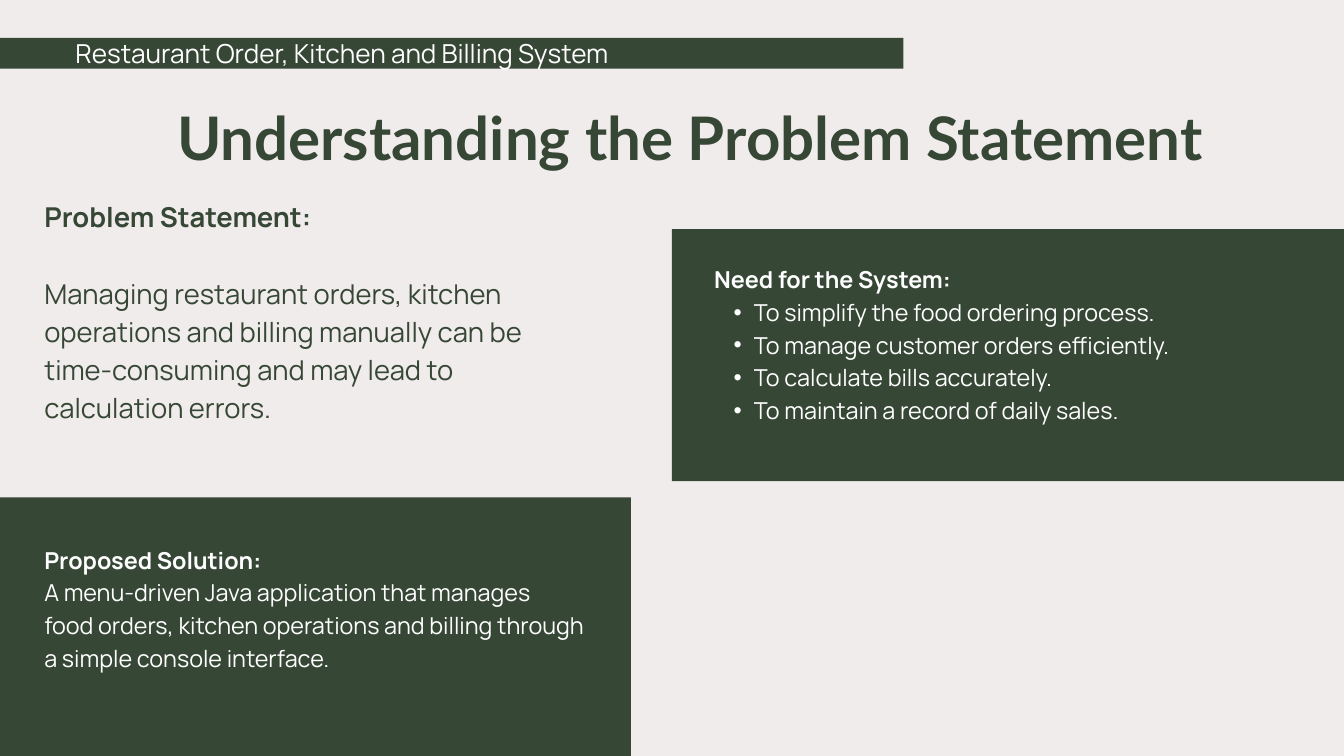
from dataclasses import dataclass

import pptx
import pptx.dml.color
import pptx.enum.shapes
import pptx.enum.text
import pptx.util
from lxml import etree

Pt = pptx.util.Pt
Align = pptx.enum.text.PP_ALIGN
COLORS = {"green": "364735", "cream": "F1ECEC", "white": "FFFFFF"}
SPACE = "http://schemas.openxmlformats.org/drawingml/2006/main"


@dataclass
class Panel:
    left: float
    top: float
    width: float
    height: float


@dataclass
class Line:
    text: str
    bold: bool = False
    bullet: bool = False
    before: float = 0


@dataclass
class Block:
    left: float
    top: float
    width: float
    height: float
    size: float
    pitch: float
    color: str
    lines: list[Line]
    font: str = "Manrope"
    align: Align = Align.LEFT


PANELS = [
    Panel(-4.3, 40.5, 972.3, 33),
    Panel(720, 245.5, 720, 270),
    Panel(-44, 532.8, 720, 484.6),
]
NEEDS = [
    "To simplify the food ordering process.",
    "To manage customer orders efficiently.",
    "To calculate bills accurately.",
    "To maintain a record of daily sales.",
]
BLOCKS = [
    Block(62.6, 95, 1353.6, 88.6, 64.3, 90, "green",
          [Line("Understanding the Problem Statement", True)], "Lato", Align.CENTER),
    Block(80.8, 34, 728, 40, 28, 39.2, "white",
          [Line("Restaurant Order, Kitchen and Billing System")]),
    Block(765.2, 279.4, 578, 175, 25, 35, "white",
          [Line("Need for the System:", True)] + [Line(need, bullet=True) for need in NEEDS]),
    Block(47.5, 208.8, 537, 246, 29.3, 41, "green",
          [Line("Problem Statement:", True),
           Line("Managing restaurant orders, kitchen operations and billing manually "
                "can be time-consuming and may lead to calculation errors.", before=41)]),
    Block(47.5, 580, 578, 140, 25, 35, "white",
          [Line("Proposed Solution:", True),
           Line("A menu-driven Java application that manages food orders, kitchen "
                "operations and billing through a simple console interface.")]),
]


def tint(name: str) -> pptx.dml.color.RGBColor:
    return pptx.dml.color.RGBColor.from_string(COLORS[name])


def draw_panel(slide, panel: Panel) -> None:
    shape = slide.shapes.add_shape(
        pptx.enum.shapes.MSO_SHAPE.RECTANGLE,
        Pt(panel.left), Pt(panel.top), Pt(panel.width), Pt(panel.height))
    shape.shadow.inherit = False
    shape.fill.solid()
    shape.fill.fore_color.rgb = tint("green")
    shape.line.fill.background()


def add_bullet(para) -> None:
    props = para._p.get_or_add_pPr()
    props.set("marL", str(Pt(42.5)))
    props.set("indent", str(Pt(-21.6)))
    etree.SubElement(props, f"{{{SPACE}}}buFont", typeface="Arial")
    etree.SubElement(props, f"{{{SPACE}}}buChar", char="•")


def draw_block(slide, block: Block) -> None:
    box = slide.shapes.add_textbox(
        Pt(block.left), Pt(block.top), Pt(block.width), Pt(block.height))
    frame = box.text_frame
    frame.word_wrap = True
    frame.margin_left = frame.margin_right = frame.margin_top = frame.margin_bottom = 0
    for index, line in enumerate(block.lines):
        para = frame.add_paragraph() if index else frame.paragraphs[0]
        para.text = line.text
        para.alignment = block.align
        para.line_spacing = Pt(block.pitch)
        if line.before:
            para.space_before = Pt(line.before)
        if line.bullet:
            para.level = 1
            add_bullet(para)
        para.font.name = block.font
        para.font.size = Pt(block.size)
        para.font.bold = line.bold
        para.font.color.rgb = tint(block.color)


def main() -> None:
    deck = pptx.Presentation()
    deck.slide_width, deck.slide_height = Pt(1440), Pt(810)
    slide = deck.slides.add_slide(deck.slide_layouts[6])
    slide.background.fill.solid()
    slide.background.fill.fore_color.rgb = tint("cream")
    for panel in PANELS:
        draw_panel(slide, panel)
    for block in BLOCKS:
        draw_block(slide, block)
    deck.save("out.pptx")


if __name__ == "__main__":
    main()
